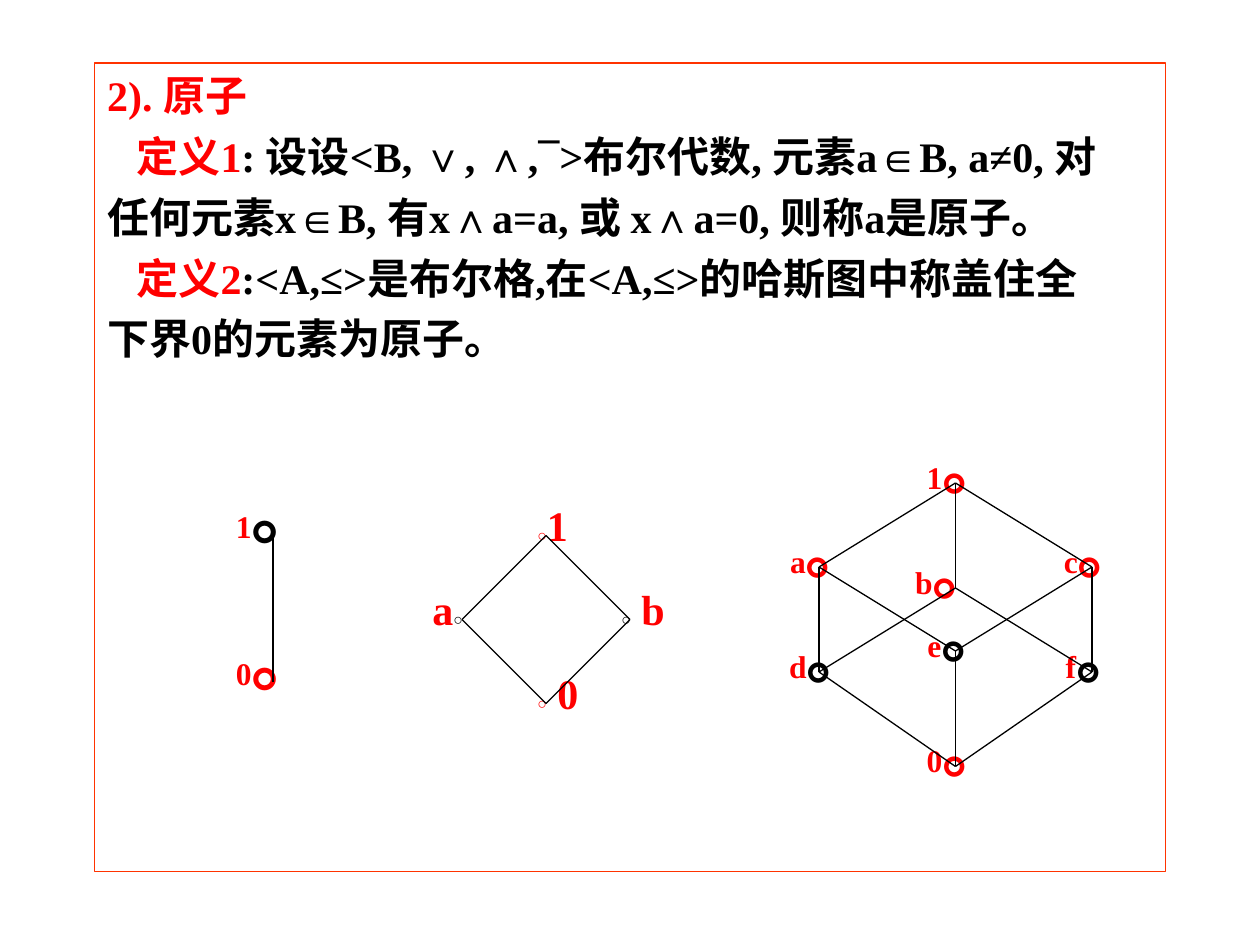
from pptx import Presentation
from pptx.dml.color import RGBColor
from pptx.enum.shapes import MSO_CONNECTOR as CONN
from pptx.enum.text import MSO_ANCHOR as ANCHOR, MSO_AUTO_SIZE as FIT, PP_ALIGN as ALIGN
from pptx.oxml.ns import qn
from pptx.util import Pt
from lxml.etree import SubElement

PX = 7620  # 120 px to the inch
RED, BLACK, FRAME = "FF0000", "000000", "FF3300"
SERIF, SANS = "Times New Roman", "Arial"


def rgb(value):
    return RGBColor.from_string(value)


def add_runs(p, runs):
    for text, size, color, font in runs:
        r = p.add_run()
        r.text = text
        r.font.size, r.font.bold, r.font.name = Pt(size), True, font
        r.font.color.rgb = rgb(color)


prs = Presentation()
prs.slide_width, prs.slide_height = 1200 * PX, 900 * PX
s = prs.slides.add_slide(prs.slide_layouts[1])
s.shapes.title.element.getparent().remove(s.shapes.title.element)

# Definitions: first-line offset and coloured parts of each paragraph
definitions = [
    (0, [("2). 原子", RED)]),
    (28, [("定义1", RED), (": 设设<B, ∨, ∧,¯>布尔代数, 元素a∈B, a≠0, 对", BLACK)]),
    (0, [("任何元素x∈B, 有x∧a=a, 或 x∧a=0, 则称a是原子。", BLACK)]),
    (28, [("定义2", RED), (":<A,≤>是布尔格,在<A,≤>的哈斯图中称盖住全", BLACK)]),
    (0, [("下界0的元素为原子。", BLACK)]),
]
body = s.placeholders[1]
body.left, body.top, body.width, body.height = 90 * PX, 60 * PX, 1020 * PX, 770 * PX
body.line.color.rgb = rgb(FRAME)
body.line.width = Pt(0.75)
tf = body.text_frame
tf.auto_size = FIT.NONE
for i, (start, parts) in enumerate(definitions):
    p = tf.paragraphs[0] if i == 0 else tf.add_paragraph()
    pPr = p._p.get_or_add_pPr()
    pPr.set("marL", str(45 * PX))
    pPr.set("indent", str((start - 45) * PX))
    SubElement(pPr, qn("a:buNone"))
    p.space_before = Pt(6 if i else 0)
    add_runs(p, [(text, 24, color, SERIF) for text, color in parts])

# Node labels: left, top, width, height, alignment, runs
labels = []
cube_labels = [
    ("1", 860, 400, RED), ("e", 860, 560, BLACK), ("0", 860, 670, RED),
    ("d", 730, 580, BLACK), ("f", 990, 580, BLACK), ("b", 850, 500, RED),
    ("c", 990, 480, RED), ("a", 730, 480, RED),
]
for name, x, y, color in cube_labels:
    runs = [(name, 18, RED, SERIF), ("。", 36, color, SERIF)]
    labels.append((x, y, 120, 84, ALIGN.CENTER, runs))
for name, y, color in [("0", 580, RED), ("1", 440, BLACK)]:
    runs = [(name, 18, RED, SERIF), ("。", 40, color, SERIF)]
    labels.append((200, y, 131, 92, ALIGN.CENTER, runs))
diamond_labels = [
    (500, 630, 90, [("○", 9, RED, SANS), (" 0", 24, RED, SERIF)]),
    (500, 470, 130, [("○", 9, RED, SANS), ("1", 24, RED, SERIF)]),
    (400, 550, 90, [("a", 24, RED, SERIF), ("○", 9, BLACK, SANS)]),
    (580, 550, 110, [("○", 9, BLACK, SANS), (" b", 24, RED, SERIF)]),
]
for x, y, w, runs in diamond_labels:
    labels.append((x, y, w, 60, ALIGN.LEFT, runs))

for x, y, w, h, align, runs in labels:
    tf = s.shapes.add_textbox(x * PX, y * PX, w * PX, h * PX).text_frame
    tf.word_wrap = True
    tf.auto_size = FIT.SHAPE_TO_FIT_TEXT
    tf.vertical_anchor = ANCHOR.MIDDLE if align == ALIGN.CENTER else ANCHOR.TOP
    p = tf.paragraphs[0]
    p.alignment = align
    add_runs(p, runs)

# Hasse diagrams: node positions and the edges between them
chain = {"1": (260, 510), "0": (260, 650)}
diamond = {"1": (520, 510), "a": (440, 590), "b": (600, 590), "0": (520, 670)}
cube = {
    "1": (910, 460), "a": (780, 540), "b": (910, 560), "c": (1040, 540),
    "d": (780, 640), "e": (910, 620), "f": (1040, 640), "0": (910, 730),
}
diagrams = [
    (chain, "10"),
    (diamond, "1a 1b a0 b0"),
    (cube, "1a 1b 1c ad ae bd bf ce cf d0 e0 f0"),
]
for nodes, edges in diagrams:
    for start, end in edges.split():
        (x1, y1), (x2, y2) = nodes[start], nodes[end]
        line = s.shapes.add_connector(CONN.STRAIGHT, x1 * PX, y1 * PX, x2 * PX, y2 * PX)
        line.line.color.rgb = rgb(BLACK)
        line.line.width = Pt(0.75)
        SubElement(line._element.spPr, qn("a:effectLst"))

prs.save("out.pptx")
